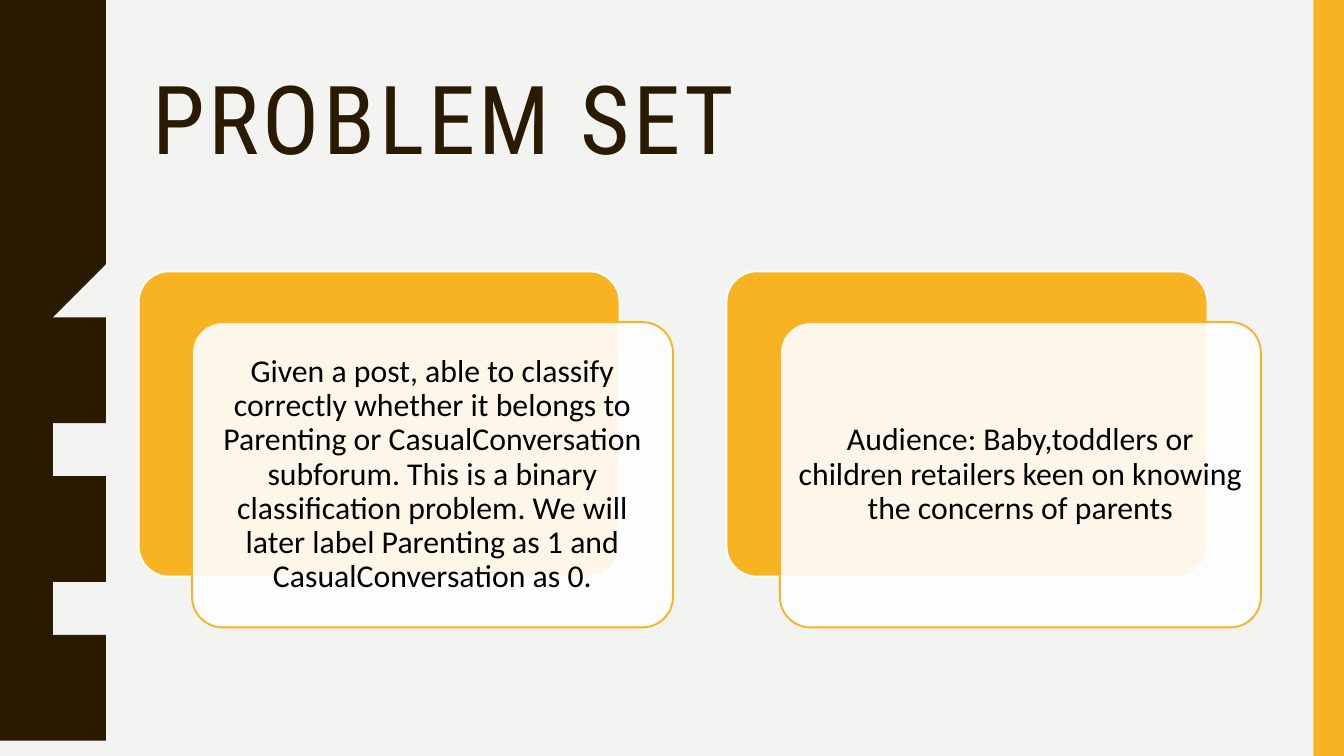
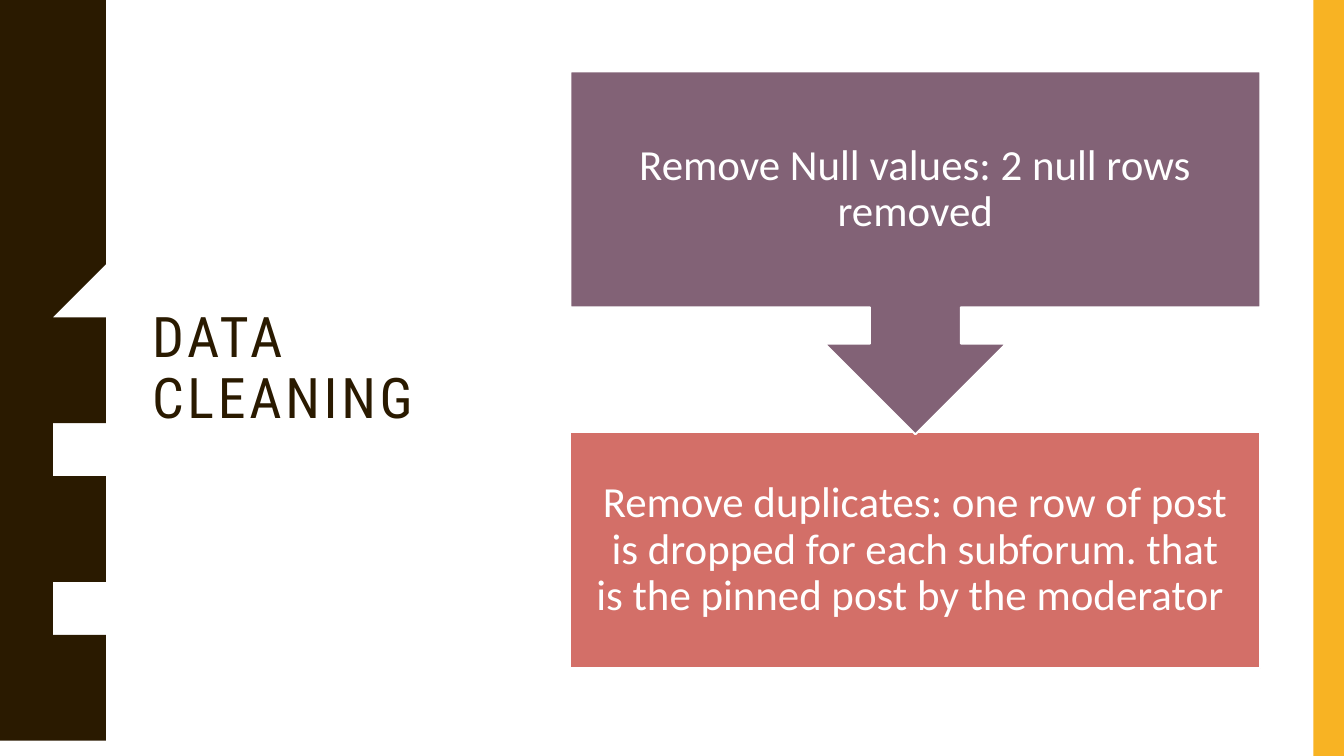
import pptx
import pptx.dml.color
import pptx.enum.shapes
import pptx.enum.text
import pptx.oxml
import pptx.oxml.ns
import pptx.util

Cm = pptx.util.Cm
Pt = pptx.util.Pt
RGB = pptx.dml.color.RGBColor
SHAPE = pptx.enum.shapes.MSO_SHAPE
ALIGN = pptx.enum.text.PP_ALIGN
MIDDLE = pptx.enum.text.MSO_ANCHOR.MIDDLE

# Colours and fonts
BROWN = RGB(0x2A, 0x1A, 0x00)
AMBER = RGB(0xF8, 0xB3, 0x23)
PLUM = RGB(0x82, 0x62, 0x76)
CORAL = RGB(0xD3, 0x6F, 0x68)
PALE = RGB(0xF3, 0xF3, 0xF2)
WHITE = RGB(0xFF, 0xFF, 0xFF)
BLACK = RGB(0x00, 0x00, 0x00)
TITLE_FONT = "Roboto Condensed"
BODY_FONT = "Calibri"

# Shared measures, in cm
SLIDE_W, SLIDE_H = 25.4, 14.29
CONTENT_LEFT, CONTENT_RIGHT = 2.62, 23.82
STRIPE_W = 0.58
WAVE_COUNT = 5
# Half a wave, from trough to crest: edge position and share of the wave
HALF_WAVE = [
    (1.47, 0), (1.48, 0.05), (1.5, 0.1), (1.52, 0.13), (1.55, 0.17),
    (1.58, 0.2), (1.62, 0.22), (1.66, 0.25), (1.7, 0.28), (1.74, 0.3),
    (1.77, 0.33), (1.8, 0.37), (1.82, 0.41), (1.84, 0.45), (1.85, 0.5),
]


def write(frame, text, font, size, color, align, inset=None):
    """Fill a text frame with one paragraph, centred vertically."""
    frame.word_wrap = True
    frame.auto_size = pptx.enum.text.MSO_AUTO_SIZE.NONE
    frame.vertical_anchor = MIDDLE
    if inset is not None:
        frame.margin_left = frame.margin_right = Cm(inset)
        frame.margin_top = frame.margin_bottom = Cm(inset)
    paragraph = frame.paragraphs[0]
    paragraph.text = text
    paragraph.alignment = align
    paragraph.line_spacing = 0.9
    paragraph.font.name = font
    paragraph.font.size = Pt(size)
    paragraph.font.color.rgb = color
    return paragraph


def paint(shape, fill, line=None):
    shape.shadow.inherit = False
    shape.fill.solid()
    shape.fill.fore_color.rgb = fill
    if line is None:
        shape.line.fill.background()
    else:
        shape.line.color.rgb = line
        shape.line.width = Pt(1)


def add_block(slide, kind, box, fill, line=None):
    block = slide.shapes.add_shape(kind, *map(Cm, box))
    paint(block, fill, line)
    return block


def set_opacity(shape, percent):
    color = shape.element.spPr.find(".//" + pptx.oxml.ns.qn("a:srgbClr"))
    color.append(pptx.oxml.parse_xml(
        f'<a:alpha {pptx.oxml.ns.nsdecls("a")} val="{percent * 1000}"/>'))


def add_wavy_band(slide):
    wave_h = SLIDE_H / WAVE_COUNT
    mirrored = [(x, 1 - share) for x, share in reversed(HALF_WAVE[:-1])]
    edge = [(x, (wave + share) * wave_h)
            for wave in range(WAVE_COUNT)
            for x, share in HALF_WAVE + mirrored]
    outline = slide.shapes.build_freeform(0, 0, scale=Cm(1))
    outline.add_line_segments(edge + [(0, SLIDE_H)], close=True)
    paint(outline.convert_to_shape(), BROWN)


def add_titled_slide(deck, title, box, size, background):
    """Add a slide with its background, side bands and title."""
    slide = deck.slides.add_slide(deck.slide_layouts[5])
    slide.background.fill.solid()
    slide.background.fill.fore_color.rgb = background
    add_wavy_band(slide)
    add_block(slide, SHAPE.RECTANGLE,
              (SLIDE_W - STRIPE_W, 0, STRIPE_W, SLIDE_H), AMBER)

    heading = slide.shapes.title
    heading.left, heading.top, heading.width, heading.height = map(Cm, box)
    line = write(heading.text_frame, title, TITLE_FONT, size, BROWN, ALIGN.LEFT)
    line.runs[0].font._element.set("spc", "200")
    return slide


def add_layered_card(slide, left, text):
    """Add an amber plate with a translucent text card in front."""
    top, width, height = 5.13, 9.09, 5.77
    shift_x, shift_y = 1.01, 0.96
    plate = add_block(slide, SHAPE.ROUNDED_RECTANGLE,
                      (left, top, width, height), AMBER, WHITE)
    card = add_block(slide, SHAPE.ROUNDED_RECTANGLE,
                     (left + shift_x, top + shift_y, width, height),
                     WHITE, AMBER)
    for layer in (plate, card):
        layer.adjustments[0] = 0.1
    set_opacity(card, 90)
    write(card.text_frame, text, BODY_FONT, 17, BLACK, ALIGN.CENTER, 0.17)


def write_step(frame, text):
    write(frame, text, BODY_FONT, 23, WHITE, ALIGN.CENTER, 0.45)


def build_problem_set(deck):
    slide = add_titled_slide(
        deck, "PROBLEM SET",
        (CONTENT_LEFT, 0.79, CONTENT_RIGHT - CONTENT_LEFT, 3.1), 51, PALE)
    statements = [
        "Given a post, able to classify correctly whether it belongs to "
        "Parenting or CasualConversation subforum. This is a binary "
        "classification problem. We will later label Parenting as 1 and "
        "CasualConversation as 0.",
        "Audience: Baby,toddlers or children retailers keen on knowing "
        "the concerns of parents",
    ]
    for column, statement in enumerate(statements):
        add_layered_card(slide, CONTENT_LEFT + column * 11.11, statement)


def build_data_cleaning(deck):
    top, height = 1.35, 11.28
    slide = add_titled_slide(
        deck, "DATA CLEANING", (CONTENT_LEFT, top, 7.06, height), 30, WHITE)
    left, width, step_h = 10.78, CONTENT_RIGHT - 10.78, 4.46

    # Second step lies behind the tip of the first step's arrow
    duplicates = add_block(slide, SHAPE.RECTANGLE,
                           (left, top + height - step_h, width, step_h),
                           CORAL, WHITE)
    write_step(duplicates.text_frame,
               "Remove duplicates: one row of post is dropped for each "
               "subforum. that is the pinned post by the moderator ")

    # The callout is turned over, so its text sits in an upright box
    nulls = add_block(slide, SHAPE.UP_ARROW_CALLOUT,
                      (left, top, width, 6.86), PLUM, WHITE)
    nulls.rotation = 180
    nulls_text = slide.shapes.add_textbox(
        *map(Cm, (left, top, width, step_h)))
    write_step(nulls_text.text_frame, "Remove Null values: 2 null rows removed")


def main():
    deck = pptx.Presentation()
    deck.slide_width, deck.slide_height = Cm(SLIDE_W), Cm(SLIDE_H)
    build_problem_set(deck)
    build_data_cleaning(deck)
    deck.save("out.pptx")


if __name__ == "__main__":
    main()
